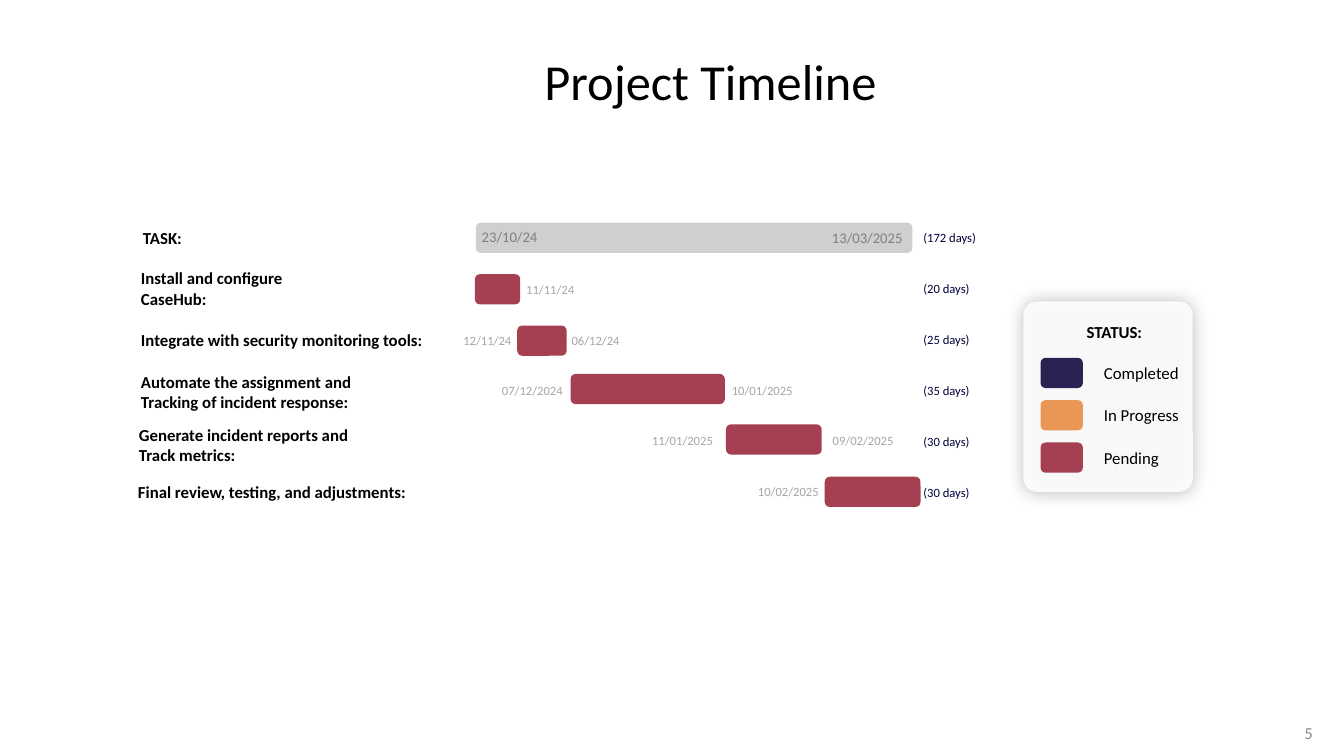
"""Build the project timeline slide with its task bars and status legend."""
from dataclasses import dataclass
from typing import Any

from lxml import etree
from pptx import Presentation
from pptx import util as u
from pptx.dml.color import RGBColor
from pptx.enum import shapes, text
from pptx.oxml import ns

FONT = "Calibri"
BLACK, GREY, PALE, NAVY = "000000", "808080", "A6A6A6", "01023B"
RED, AMBER, PURPLE, SILVER = "A53F52", "E99757", "2C2153", "D0CECE"
BAR_H = 0.3
LEFT, RIGHT = text.PP_ALIGN.LEFT, text.PP_ALIGN.RIGHT


@dataclass
class Task:
    label: str
    label_x: float
    label_w: float
    label_mid: float
    bar_x: float
    bar_w: float
    bar_mid: float
    days: str
    start: str = ""
    start_x: float = 0
    end: str = ""
    end_x: float = 0
    date_mid: float = 0


@dataclass
class Status:
    name: str
    color: str
    width: float


TASKS = [
    Task("TASK:", 1.32, 0.63, 2.36, 4.72, 4.33, 2.36, "(172 days)"),
    Task("Install and configure CaseHub:", 1.3, 2.28, 2.86, 4.71, 0.45, 2.87,
         "(20 days)", end="11/11/24", end_x=5.12, date_mid=2.87),
    Task("Integrate with security monitoring tools:", 1.3, 3.03, 3.37, 5.13, 0.49, 3.38,
         "(25 days)", "12/11/24", 4.49, "06/12/24", 5.57, 3.38),
    Task("Automate the assignment and\nTracking of incident response:", 1.3, 2.31, 3.89,
         5.66, 1.53, 3.86, "(35 days)", "07/12/2024", 4.87, "10/01/2025", 7.16, 3.87),
    Task("Generate incident reports and\nTrack metrics:", 1.28, 2.3, 4.41,
         7.2, 0.95, 4.36, "(30 days)", "11/01/2025", 6.36, "09/02/2025", 8.16, 4.37),
    Task("Final review, testing, and adjustments:", 1.27, 2.89, 4.88, 8.18, 0.95, 4.88,
         "(30 days)", "10/02/2025", 7.41, date_mid=4.88),
]
STATES = [Status("Completed", PURPLE, 0.95), Status("In Progress", AMBER, 0.95),
          Status("Pending", RED, 0.75)]


def paint(color: str) -> RGBColor:
    return RGBColor.from_string(color)


def style(frame: Any, words: str, size: float, color: str, bold: bool = False,
          align: Any = LEFT) -> None:
    frame.text = words
    for line in frame.paragraphs:
        line.alignment = align
        for run in line.runs:
            run.font.name, run.font.size, run.font.bold = FONT, u.Pt(size), bold
            run.font.color.rgb = paint(color)


def write(parent: Any, words: str, x: float, mid: float, w: float, size: float,
          color: str, bold: bool = False, align: Any = LEFT) -> None:
    lines = words.count("\n") + 1
    h = 0.1 + lines * size / 60
    box = parent.add_textbox(u.Inches(x), u.Inches(mid - h / 2), u.Inches(w), u.Inches(h))
    frame = box.text_frame
    frame.word_wrap = False
    frame.vertical_anchor = text.MSO_ANCHOR.MIDDLE
    style(frame, words, size, color, bold, align)


def block(parent: Any, x: float, y: float, w: float, h: float, color: str) -> Any:
    shape = parent.add_shape(shapes.MSO_SHAPE.ROUNDED_RECTANGLE, u.Inches(x), u.Inches(y),
                             u.Inches(w), u.Inches(h))
    shape.shadow.inherit = False
    shape.fill.solid()
    shape.fill.fore_color.rgb = paint(color)
    shape.line.fill.background()
    return shape


def fade(color: Any, share: int) -> None:
    etree.SubElement(color, ns.qn("a:alpha")).set("val", str(share * 1000))


def glow(shape: Any) -> None:
    props = shape.element.spPr
    fade(props.find(ns.qn("a:solidFill"))[0], 90)
    shadow = etree.SubElement(props.find(ns.qn("a:effectLst")), ns.qn("a:outerShdw"))
    shadow.set("blurRad", str(u.Pt(13)))
    shadow.set("algn", "ctr")
    shadow.set("rotWithShape", "0")
    color = etree.SubElement(shadow, ns.qn("a:srgbClr"))
    color.set("val", BLACK)
    fade(color, 30)


def draw_task(parent: Any, task: Task, row: int) -> None:
    write(parent, task.label, task.label_x, task.label_mid, task.label_w, 12, BLACK, True)
    block(parent, task.bar_x, task.bar_mid - BAR_H / 2, task.bar_w, BAR_H,
          RED if row else SILVER)
    write(parent, task.days, 9.06, 2.36 + row * 0.505, 0.67 if row else 0.73, 9, NAVY)
    for date, x, align in ((task.start, task.start_x, RIGHT), (task.end, task.end_x, LEFT)):
        if date:
            width = 0.68 if len(date) == 8 else 0.81
            write(parent, date, x, task.date_mid, width, 9, PALE, align=align)


def draw_legend(parent: Any) -> None:
    group = parent.add_group_shape().shapes
    card = block(group, 10.15, 2.99, 1.68, 1.89, "FFFFFF")
    card.adjustments[0] = 0.083
    glow(card)
    write(group, "STATUS:", 10.68, 3.29, 0.76, 12, BLACK, True)
    for row, state in enumerate(STATES):
        top = 3.55 + row * 0.42
        block(group, 10.32, top, 0.42, BAR_H, state.color)
        write(group, state.name, 10.85, top + BAR_H / 2, state.width, 12, BLACK)


def main() -> None:
    deck = Presentation()
    deck.slide_width, deck.slide_height = u.Inches(13.33), u.Inches(7.5)
    slide = deck.slides.add_slide(deck.slide_layouts[5])
    title = slide.shapes.title
    title.left, title.top = u.Inches(5.3), u.Inches(0.45)
    title.width, title.height = u.Inches(3.86), u.Inches(0.71)
    title.text_frame.auto_size = text.MSO_AUTO_SIZE.NONE
    title.text_frame.vertical_anchor = text.MSO_ANCHOR.TOP
    style(title.text_frame, "Project Timeline", 36, BLACK)
    for row, task in enumerate(TASKS):
        draw_task(slide.shapes, task, row)
    write(slide.shapes, "23/10/24", 4.66, 2.35, 0.77, 10.5, GREY, align=RIGHT)
    write(slide.shapes, "13/03/2025", 8.13, 2.36, 0.92, 10.5, GREY, align=RIGHT)
    draw_legend(slide.shapes)
    write(slide.shapes, "5", 12.63, 7.27, 0.49, 12, "8C8C8C", align=RIGHT)
    slide.shapes[-1].text_frame.word_wrap = True
    deck.save("out.pptx")


if __name__ == "__main__":
    main()
